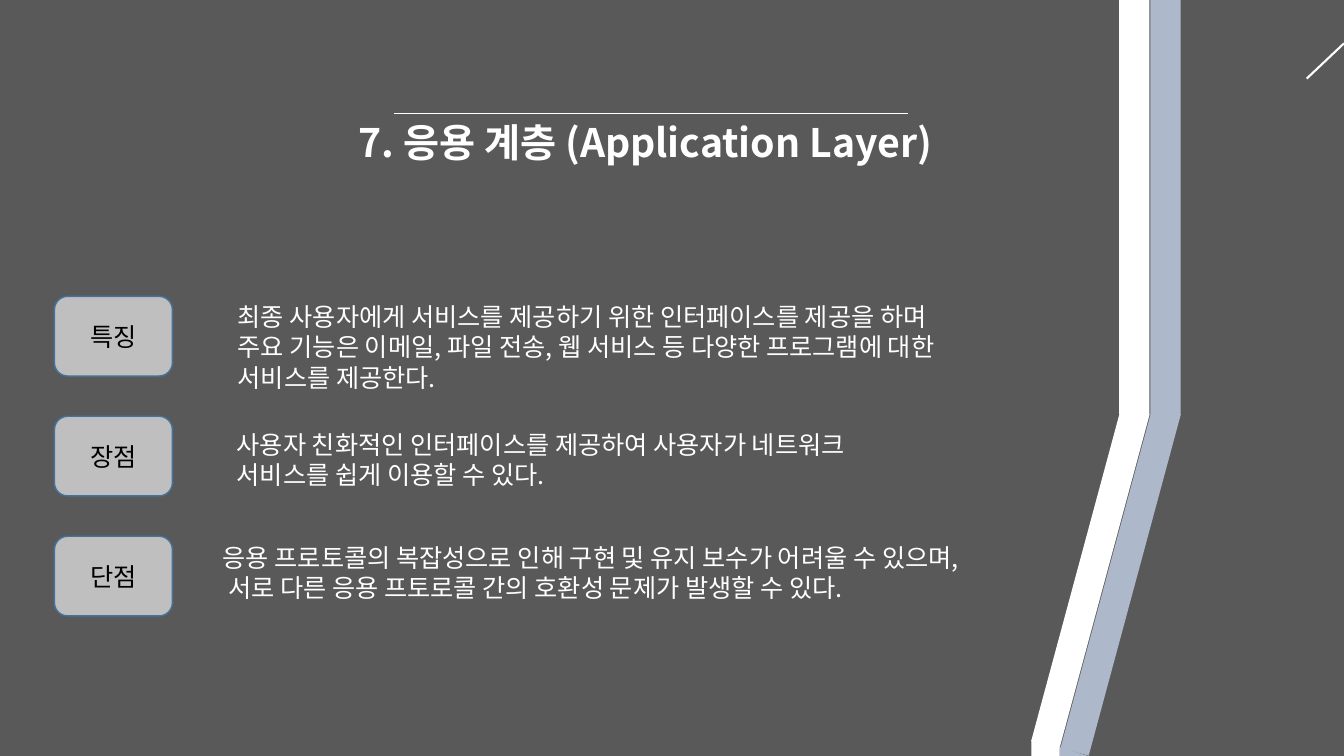
from dataclasses import dataclass

from lxml import etree
from pptx import Presentation
from pptx.dml.color import RGBColor
from pptx.enum import shapes, text
from pptx.oxml import ns
from pptx.util import Inches, Pt


@dataclass(frozen=True)
class Theme:
    font: str = "Noto Sans CJK KR"
    back: str = "595959"
    white: str = "FFFFFF"
    blue: str = "ADB9CA"
    gray: str = "BFBFBF"
    edge: str = "43739E"
    black: str = "000000"
    head: int = 28
    body: int = 18


@dataclass(frozen=True)
class Box:
    left: float
    top: float
    width: float
    height: float

    def place(self) -> tuple:
        return tuple(map(Inches, (self.left, self.top, self.width, self.height)))


@dataclass(frozen=True)
class Row:
    label: str
    box: Box
    lines: tuple[str, ...]


@dataclass(frozen=True)
class Band:
    kind: shapes.MSO_SHAPE
    box: Box
    color: str
    turn: float = 0


@dataclass(frozen=True)
class Line:
    start: tuple[float, float]
    end: tuple[float, float]
    width: float


THEME = Theme()
RECT = shapes.MSO_SHAPE.RECTANGLE
WEDGE = shapes.MSO_SHAPE.RIGHT_TRIANGLE
TILT = 15.1
TAG = Box(0.54, 2.94, 1.17, 0.79)
STEP = 1.19

ROWS = (
    Row("특징", Box(2.26, 2.94, 7.97, 1.01), (
        "최종 사용자에게 서비스를 제공하기 위한 인터페이스를 제공을 하며",
        "주요 기능은 이메일, 파일 전송, 웹 서비스 등 다양한 프로그램에 대한 서비스를 제공한다.")),
    Row("장점", Box(2.25, 4.21, 7, 0.71), (
        "사용자 친화적인 인터페이스를 제공하여 사용자가 네트워크 서비스를 쉽게 이용할 수 있다.",)),
    Row("단점", Box(2.11, 5.33, 7.44, 1.01), (
        "응용 프로토콜의 복잡성으로 인해 구현 및 유지 보수가 어려울 수 있으며, "
        "서로 다른 응용 프토로콜 간의 호환성 문제가 발생할 수 있다.",)),
)
BANDS = (
    Band(RECT, Box(11.41, 0, 0.3, 4.11), THEME.blue),
    Band(RECT, Box(11.1, 0, 0.3, 4.11), THEME.white),
    Band(RECT, Box(10.97, 4.01, 0.29, 3.51), THEME.blue, TILT),
    Band(RECT, Box(10.67, 4.01, 0.29, 3.44), THEME.white, TILT),
    Band(WEDGE, Box(10.51, 7.41, 0.28, 0.09), THEME.blue),
    Band(WEDGE, Box(10.23, 7.34, 0.28, 0.08), THEME.white),
    Band(RECT, Box(10.23, 7.42, 0.28, 0.08), THEME.white),
)
LINES = (
    Line((13.33, 0.43), (12.96, 0.78), 1.5),
    Line((3.91, 1.12), (9.01, 1.12), 0.5),
)


def rgb(code: str) -> RGBColor:
    return RGBColor.from_string(code)


def write(frame, lines: tuple[str, ...], size: int, color: str,
          align=text.PP_ALIGN.LEFT, bold: bool = False) -> None:
    frame.word_wrap = True
    for i, line in enumerate(lines):
        para = frame.paragraphs[0] if i == 0 else frame.add_paragraph()
        para.alignment = align
        run = para.add_run()
        run.text = line
        font = run.font
        font.size, font.bold, font.name = Pt(size), bold, THEME.font
        font.color.rgb = rgb(color)
        etree.SubElement(run._r.get_or_add_rPr(), ns.qn("a:ea"), typeface=THEME.font)


def add_head(slide, label: str, box: Box) -> None:
    head = slide.shapes.title
    head.left, head.top, head.width, head.height = box.place()
    frame = head.text_frame
    frame.auto_size = text.MSO_AUTO_SIZE.SHAPE_TO_FIT_TEXT
    frame.vertical_anchor = text.MSO_ANCHOR.TOP
    write(frame, (label,), THEME.head, THEME.white, text.PP_ALIGN.CENTER, True)


def add_shape(parent, kind, box: Box, color: str):
    shape = parent.add_shape(kind, *box.place())
    shape.shadow.inherit = False
    shape.fill.solid()
    shape.fill.fore_color.rgb = rgb(color)
    shape.line.fill.background()
    return shape


def add_line(slide, line: Line) -> None:
    ends = map(Inches, line.start + line.end)
    link = slide.shapes.add_connector(shapes.MSO_CONNECTOR.STRAIGHT, *ends)
    link.line.color.rgb = rgb(THEME.white)
    link.line.width = Pt(line.width)
    etree.SubElement(link._element.spPr, ns.qn("a:effectLst"))


def add_row(slide, row: Row, top: float) -> None:
    note = slide.shapes.add_textbox(*row.box.place()).text_frame
    note.auto_size = text.MSO_AUTO_SIZE.SHAPE_TO_FIT_TEXT
    write(note, row.lines, THEME.body, THEME.white)

    box = Box(TAG.left, top, TAG.width, TAG.height)
    tag = add_shape(slide.shapes, shapes.MSO_SHAPE.ROUNDED_RECTANGLE, box, THEME.gray)
    tag.line.color.rgb = rgb(THEME.edge)
    tag.line.width = Pt(1)
    tag.text_frame.vertical_anchor = text.MSO_ANCHOR.MIDDLE
    write(tag.text_frame, (row.label,), THEME.body, THEME.black, text.PP_ALIGN.CENTER)


def main() -> None:
    deck = Presentation()
    deck.slide_width, deck.slide_height = Inches(13.33), Inches(7.5)
    slide = deck.slides.add_slide(deck.slide_layouts[5])
    slide.background.fill.solid()
    slide.background.fill.fore_color.rgb = rgb(THEME.back)

    add_head(slide, "7. 응용 계층 (Application Layer)", Box(2.86, 1.12, 7.08, 0.57))
    for line in LINES:
        add_line(slide, line)
    ribbon = slide.shapes.add_group_shape()
    for band in BANDS:
        add_shape(ribbon.shapes, band.kind, band.box, band.color).rotation = band.turn
    for i, row in enumerate(ROWS):
        add_row(slide, row, TAG.top + i * STEP)
    deck.save("out.pptx")


if __name__ == "__main__":
    main()
